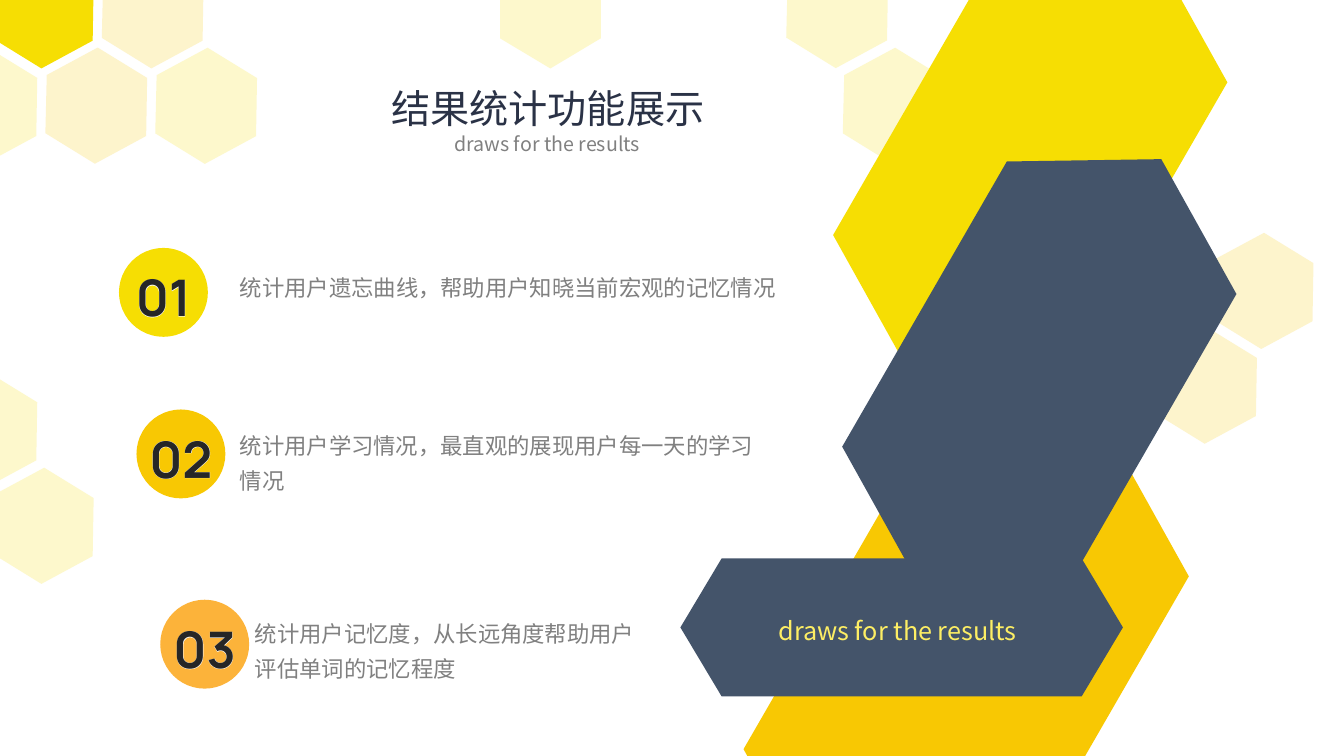
from lxml import etree
from pptx import Presentation
from pptx.dml.color import RGBColor
from pptx.enum import shapes, text
from pptx.oxml import ns
from pptx.util import Pt

YELLOW = RGBColor(0xF6, 0xDE, 0x03)
GOLD = RGBColor(0xF8, 0xC8, 0x03)
ORANGE = RGBColor(0xFC, 0xB3, 0x3A)
SLATE = RGBColor(0x44, 0x54, 0x6A)
NAVY = RGBColor(0x2A, 0x32, 0x46)
GRAY = RGBColor(0x80, 0x80, 0x80)
LEMON = RGBColor(0xFD, 0xEE, 0x64)
INK = RGBColor(0x26, 0x26, 0x26)
WHITE = RGBColor(0xFF, 0xFF, 0xFF)
SANS = "Noto Sans CJK SC"
BOLD = "Manrope"
FAINT = 20

TITLE = "结果统计功能展示"
TAG = "draws for the results"
ITEMS = [
    ("01", YELLOW, (85, 177.1), (164.2, 186.5, 409),
     ["统计用户遗忘曲线，帮助用户知晓当前宏观的记忆情况"]),
    ("02", GOLD, (97.5, 292.5), (164.2, 299.5, 396),
     ["统计用户学习情况，最直观的展现用户每一天的学习情况"]),
    ("03", ORANGE, (114.5, 428.4), (175, 433.4, 396),
     ["统计用户记忆度，从长远角度帮助用户", "评估单词的记忆程度"]),
]
CELL = [(37.4, 0), (72.7, 21.7), (72, 63.2), (35.4, 83), (0, 61.2), (1, 19.6)]
COMB = [
    (72.7, -34.1, GOLD, FAINT), (-5.8, -34.1, YELLOW, 100),
    (110.9, 34.1, YELLOW, FAINT), (32.4, 34, GOLD, FAINT),
    (-46.1, 34, YELLOW, FAINT), (865.5, 166.3, GOLD, FAINT),
    (825.1, 234, GOLD, FAINT), (602, 34.1, YELLOW, FAINT),
    (561.6, -34.3, YELLOW, FAINT), (-5.8, 334.1, YELLOW, FAINT),
    (-46.1, 265.7, YELLOW, FAINT),
]
HEXES = [
    (351.4, -28.8, 83.5, 72, 90, YELLOW, FAINT),
    (493.2, 366.5, 393.8, 213.8, 120, GOLD, 100),
    (486, 398.9, 316.1, 98.6, 0, SLATE, 100),
    (561.6, 18.7, 348.5, 189.4, 120, YELLOW, 100),
    (568.1, 169.9, 348.5, 189.4, 120, SLATE, 100),
]
DISC = 63.5


def paint(shape, color, alpha=100):
    shape.shadow.inherit = False
    shape.line.fill.background()
    shape.fill.solid()
    shape.fill.fore_color.rgb = color
    if alpha < 100:
        clr = shape.fill._xPr.find(".//" + ns.qn("a:srgbClr"))
        etree.SubElement(clr, ns.qn("a:alpha"), val=str(alpha * 1000))


def cell(slide, x, y, color, alpha):
    pts = [(Pt(x + dx), Pt(y + dy)) for dx, dy in CELL]
    build = slide.shapes.build_freeform(*pts[0])
    build.add_line_segments(pts[1:], close=True)
    paint(build.convert_to_shape(), color, alpha)


def preset(slide, kind, x, y, w, h, color, alpha=100):
    shape = slide.shapes.add_shape(kind, Pt(x), Pt(y), Pt(w), Pt(h))
    paint(shape, color, alpha)
    return shape


def write(frame, lines, size, color, font=SANS, gap=1.2, bold=False,
          align=text.PP_ALIGN.CENTER, anchor=text.MSO_ANCHOR.TOP):
    frame.word_wrap = True
    frame.auto_size = text.MSO_AUTO_SIZE.NONE
    frame.vertical_anchor = anchor
    frame.margin_left = frame.margin_right = Pt(7.2)
    frame.margin_top = frame.margin_bottom = Pt(3.6)
    frame.text = "\n".join(lines)
    for para in frame.paragraphs:
        para.alignment = align
        para.line_spacing = gap
        para.space_before = Pt(0)
        face = para.font
        face.size, face.bold, face.name = Pt(size), bold, font
        face.color.rgb = color
        east = etree.Element(ns.qn("a:ea"), typeface=font)
        face._element.find(ns.qn("a:latin")).addnext(east)


def label(slide, x, y, w, h, lines, size, color, **style):
    box = slide.shapes.add_textbox(Pt(x), Pt(y), Pt(w), Pt(h))
    write(box.text_frame, lines, size, color, **style)
    return box


def halo(box):
    for run in box.text_frame.paragraphs[0].runs:
        props = run.font._element
        line = etree.Element(ns.qn("a:ln"), w=str(Pt(4.5)))
        fill = etree.SubElement(line, ns.qn("a:solidFill"))
        etree.SubElement(fill, ns.qn("a:srgbClr"), val=str(WHITE))
        props.insert(0, line)


def item(slide, num, color, disc, spot, lines):
    x, y = disc
    preset(slide, shapes.MSO_SHAPE.OVAL, x, y, DISC, DISC, color)
    for ink in (WHITE, INK):
        box = label(slide, x - 5.7, y + 9, DISC + 11.4, 51.1, [num], 36, ink,
                    font=BOLD, gap=1.0, bold=True,
                    anchor=text.MSO_ANCHOR.MIDDLE)
        if ink == WHITE:
            halo(box)
    left, top, wide = spot
    label(slide, left, top, wide, 55.4, lines, 16, GRAY, gap=1.3,
          align=text.PP_ALIGN.LEFT)


def main():
    deck = Presentation()
    deck.slide_width, deck.slide_height = Pt(960), Pt(540)
    slide = deck.slides.add_slide(deck.slide_layouts[5])
    for x, y, color, alpha in COMB:
        cell(slide, x, y, color, alpha)
    for x, y, w, h, turn, color, alpha in HEXES:
        shape = preset(slide, shapes.MSO_SHAPE.HEXAGON, x, y, w, h, color, alpha)
        shape.adjustments[0] = 0.299
        shape.rotation = turn
    title = slide.shapes.title
    title.left, title.top = Pt(213.8), Pt(49.7)
    title.width, title.height = Pt(355), Pt(44.6)
    write(title.text_frame, [TITLE], 28, NAVY)
    label(slide, 144, 87.1, 493.9, 25.9, [TAG], 14, GRAY)
    label(slide, 518.4, 432, 245.5, 31.7, [TAG], 18, LEMON)
    for entry in ITEMS:
        item(slide, *entry)
    deck.save("out.pptx")


if __name__ == "__main__":
    main()
